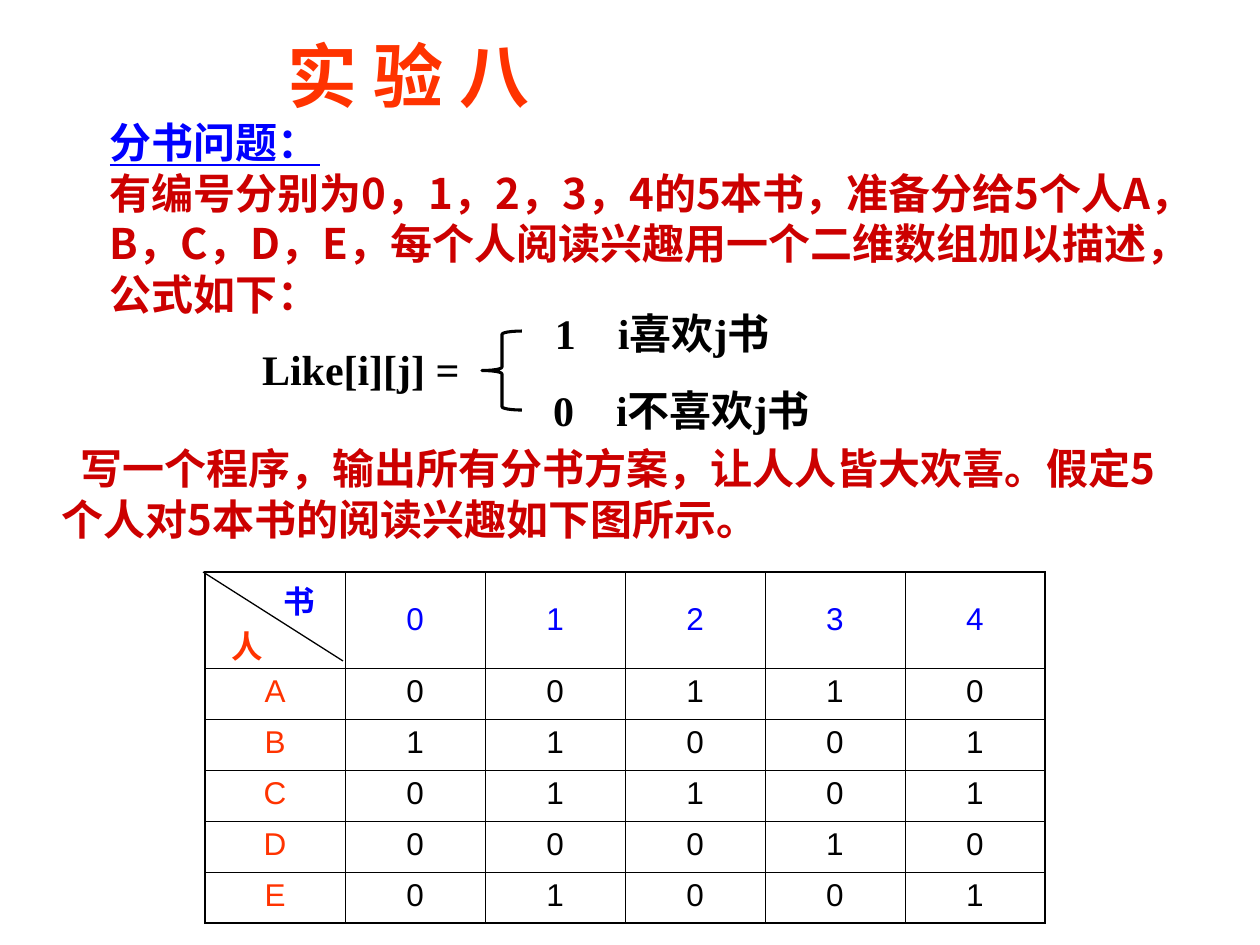
from lxml.etree import SubElement
from pptx import Presentation
from pptx.dml.color import RGBColor
from pptx.enum.shapes import MSO_CONNECTOR, MSO_SHAPE
from pptx.enum.text import MSO_ANCHOR, PP_ALIGN
from pptx.oxml.ns import qn
from pptx.util import Pt

SCALE = 914400 / 126
HEI, TIMES, ARIAL = "Noto Sans CJK SC", "Times New Roman", "Arial"
ORANGE, BLUE, RED, BLACK = "FF3300", "0000FF", "CC0000", "000000"
BOOKS = "01234"
LIKES = {"A": "00110", "B": "11001", "C": "01101", "D": "00010", "E": "01001"}


def px(n):
    return int(n * SCALE)


def color(value):
    return RGBColor.from_string(value)


def add_paragraph(tf, text, first=False, margin=0, indent=0, tab=None,
                  ink=BLACK, face=HEI, spacing=None, align=PP_ALIGN.LEFT, **font):
    p = tf.paragraphs[0] if first else tf.add_paragraph()
    pPr = p._p.get_or_add_pPr()
    pPr.set("marL", str(px(margin)))
    pPr.set("indent", str(px(indent)))
    if tab:
        tabs = SubElement(pPr, qn("a:tabLst"))
        SubElement(tabs, qn("a:tab"), pos=str(px(tab)), algn="l")
    p.alignment = align
    if spacing:
        p.line_spacing = Pt(spacing)
    r = p.add_run()
    r.text = text
    for name, value in font.items():
        setattr(r.font, name, Pt(value) if name == "size" else value)
    r.font.name = face
    r.font.color.rgb = color(ink)
    SubElement(r._r.get_or_add_rPr(), qn("a:ea"), typeface=HEI)


def add_text(s, box, paragraphs):
    tf = s.shapes.add_textbox(*map(px, box)).text_frame
    margins = dict(margin_left=13, margin_right=13, margin_top=7, margin_bottom=6)
    for name, value in margins.items():
        setattr(tf, name, px(value))
    tf.word_wrap = True
    for i, fmt in enumerate(paragraphs):
        fmt = dict(dict(size=24, bold=True), **fmt)
        add_paragraph(tf, first=i == 0, spacing=fmt["size"] * 1.2, **fmt)


def add_brace(s, box):
    sp = s.shapes.add_shape(MSO_SHAPE.LEFT_BRACE, *map(px, box))
    sp.shadow.inherit = False
    sp.fill.background()
    sp.line.color.rgb = color(BLACK)
    sp.line.width = Pt(1.75)


def add_line(s, ends):
    line = s.shapes.add_connector(MSO_CONNECTOR.STRAIGHT, *map(px, ends))
    line.line.color.rgb = color(BLACK)
    line.line.width = Pt(0.75)
    SubElement(line._element.spPr, qn("a:effectLst"))


def set_borders(cell, outer):
    tcPr = cell._tc.get_or_add_tcPr()
    for side in "LRTB":
        width = Pt(1.08 if side in outer else 0.45)
        ln = SubElement(tcPr, qn(f"a:ln{side}"), w=str(width))
        fill = SubElement(ln, qn("a:solidFill"))
        SubElement(fill, qn("a:srgbClr"), val=BLACK)


def add_corner(cell):
    cell.margin_bottom = 0
    fmt = dict(size=18, bold=True, spacing=25.5)
    add_paragraph(cell.text_frame, "书", first=True, margin=66, ink=BLUE, **fmt)
    add_paragraph(cell.text_frame, "人", margin=14, ink=ORANGE, **fmt)


def add_likes_table(s, left, top, col_width, header_height, row_height):
    rows = [" " + BOOKS] + [person + marks for person, marks in LIKES.items()]
    last_row, last_col = len(rows) - 1, len(BOOKS)
    height = header_height + row_height * last_row
    table = s.shapes.add_table(len(rows), last_col + 1, px(left), px(top),
                               px(col_width * (last_col + 1)), px(height)).table
    table.first_row = table.horz_banding = False
    for column in table.columns:
        column.width = px(col_width)
    for i, values in enumerate(rows):
        table.rows[i].height = px(row_height if i else header_height)
        for j, value in enumerate(values):
            cell = table.cell(i, j)
            sides = {"L": j == 0, "R": j == last_col, "T": i == 0, "B": i == last_row}
            set_borders(cell, [side for side, outer in sides.items() if outer])
            cell.fill.background()
            if i == j == 0:
                add_corner(cell)
                continue
            cell.vertical_anchor = MSO_ANCHOR.TOP if i else MSO_ANCHOR.MIDDLE
            ink = BLUE if i == 0 else ORANGE if j == 0 else BLACK
            add_paragraph(cell.text_frame, value, first=True, ink=ink, face=ARIAL,
                          align=PP_ALIGN.CENTER, size=18, bold=False)


def main():
    prs = Presentation()
    prs.slide_width, prs.slide_height = px(1260), px(945)
    s = prs.slides.add_slide(prs.slide_layouts[6])
    add_text(s, (34, 26, 1181, 299), [
        dict(text="实 验 八", margin=241, ink=ORANGE, size=40),
        dict(text="分书问题：", margin=63, ink=BLUE, underline=True),
        dict(text="有编号分别为0，1，2，3，4的5本书，准备分给5个人A，B，C，D，E，"
                  "每个人阅读兴趣用一个二维数组加以描述，公式如下：", margin=63, ink=RED),
    ])
    add_text(s, (249, 337, 232, 63), [dict(text="Like[i][j] =", face=TIMES)])
    add_brace(s, (482, 331, 40, 79))
    for box, text in (((542, 301, 320, 63), "1\ti喜欢j书"),
                      ((540, 378, 369, 63), "0\ti不喜欢j书")):
        add_text(s, box, [dict(text=text, face=TIMES, tab=41)])
    add_text(s, (49, 436, 1160, 113), [
        dict(text="写一个程序，输出所有分书方案，让人人皆大欢喜。"
                  "假定5个人对5本书的阅读兴趣如下图所示。", indent=19, ink=RED),
    ])
    add_likes_table(s, 205, 572, 140, 96, 51)
    add_line(s, (203, 572, 343, 661))
    prs.save("out.pptx")


if __name__ == "__main__":
    main()
